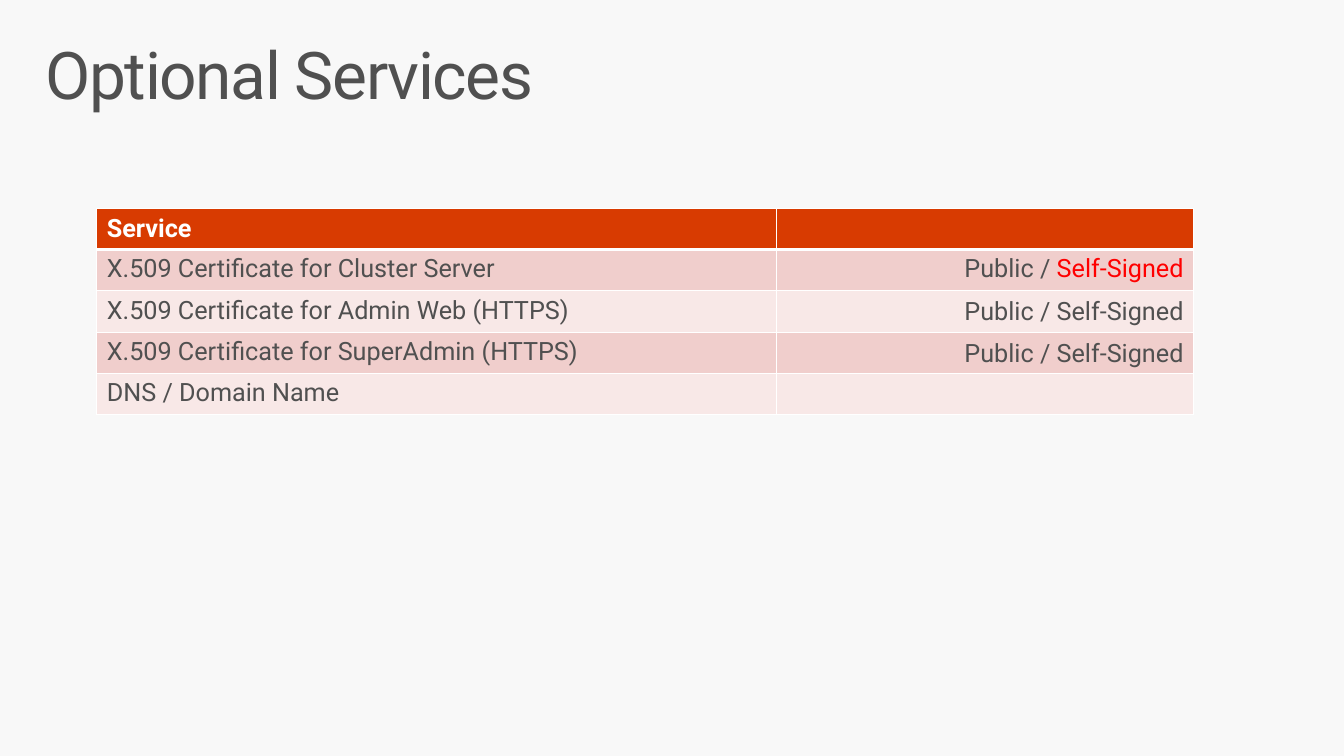
from lxml import etree
from pptx import Presentation, util as u
from pptx.dml.color import RGBColor
from pptx.enum import text as t
from pptx.oxml import ns

PAPER = RGBColor(0xF8, 0xF8, 0xF8)
WHITE = RGBColor(0xFF, 0xFF, 0xFF)
INK = RGBColor(0x50, 0x50, 0x50)
RED = RGBColor(0xFF, 0x00, 0x00)
HEAD = RGBColor(0xD8, 0x3B, 0x01)
BANDS = RGBColor(0xF0, 0xCE, 0xCC), RGBColor(0xF8, 0xE8, 0xE7)

TOP, LOW = t.MSO_ANCHOR.TOP, t.MSO_ANCHOR.BOTTOM
LEFT, RIGHT = t.PP_ALIGN.LEFT, t.PP_ALIGN.RIGHT

# Each row: service, runs of the second cell, anchor of the second cell
ROWS = [
    ("Service", [], TOP),
    ("X.509 Certificate for Cluster Server",
     [("Public / ", INK), ("Self-Signed", RED)], TOP),
    ("X.509 Certificate for Admin Web (HTTPS)",
     [("Public / Self-Signed", INK)], LOW),
    ("X.509 Certificate for SuperAdmin (HTTPS)",
     [("Public / Self-Signed", INK)], LOW),
    ("DNS / Domain Name", [], TOP),
]
COLS = 6.74, 4.14
HIGH = [0.39] + [0.41] * (len(ROWS) - 1)


def assign(item, **values):
    for name, value in values.items():
        setattr(item, name, value)


def write(para, words, color, size, bold=False):
    run = para.add_run()
    run.text = words
    assign(run.font, name="Roboto", size=u.Pt(size), bold=bold)
    run.font.color.rgb = color
    return run


def edge(cell, side, width):
    line = etree.SubElement(cell._tc.get_or_add_tcPr(), ns.qn("a:ln" + side),
                            w=str(u.Pt(width)))
    fill = etree.SubElement(line, ns.qn("a:solidFill"))
    etree.SubElement(fill, ns.qn("a:srgbClr"), val=str(WHITE))


def title(slide, words, left, top, width, height):
    box = slide.shapes.add_textbox(*map(u.Inches, (left, top, width, height)))
    frame = box.text_frame
    assign(frame, word_wrap=True, vertical_anchor=TOP,
           margin_left=u.Inches(0.16), margin_right=u.Inches(0.16),
           margin_top=u.Inches(0.1), margin_bottom=u.Inches(0.1))
    para = frame.paragraphs[0]
    para.line_spacing = 0.9
    run = write(para, words, INK, 47)
    run.font._element.set("spc", "-100")


def services(slide, left, top):
    size = sum(COLS), sum(HIGH)
    grid = slide.shapes.add_table(
        len(ROWS), len(COLS), *map(u.Inches, (left, top, *size))).table
    for col, width in zip(grid.columns, COLS):
        col.width = u.Inches(width)
    for i, (service, choice, anchor) in enumerate(ROWS):
        grid.rows[i].height = u.Inches(HIGH[i])
        color = BANDS[(i - 1) % 2] if i else HEAD
        label = [(service, INK if i else WHITE)]
        parts = (label, LEFT, TOP), (choice, RIGHT, anchor)
        for cell, (runs, align, place) in zip(grid.rows[i].cells, parts):
            # Borders come before the fill, thick between header and body
            for side in "LRTB":
                thick = (i, side) in ((0, "B"), (1, "T"))
                edge(cell, side, 3 if thick else 1)
            cell.fill.solid()
            cell.fill.fore_color.rgb = color
            cell.vertical_anchor = place
            para = cell.text_frame.paragraphs[0]
            para.alignment = align
            for words, tint in runs:
                write(para, words, tint, 18, bold=i == 0)


def main():
    deck = Presentation()
    assign(deck, slide_width=u.Inches(13.33), slide_height=u.Inches(7.5))
    slide = deck.slides.add_slide(deck.slide_layouts[6])
    slide.background.fill.solid()
    slide.background.fill.fore_color.rgb = PAPER
    services(slide, 0.96, 2.07)
    title(slide, "Optional Services", 0.29, 0.32, 12.75, 0.98)
    deck.save("out.pptx")


if __name__ == "__main__":
    main()
